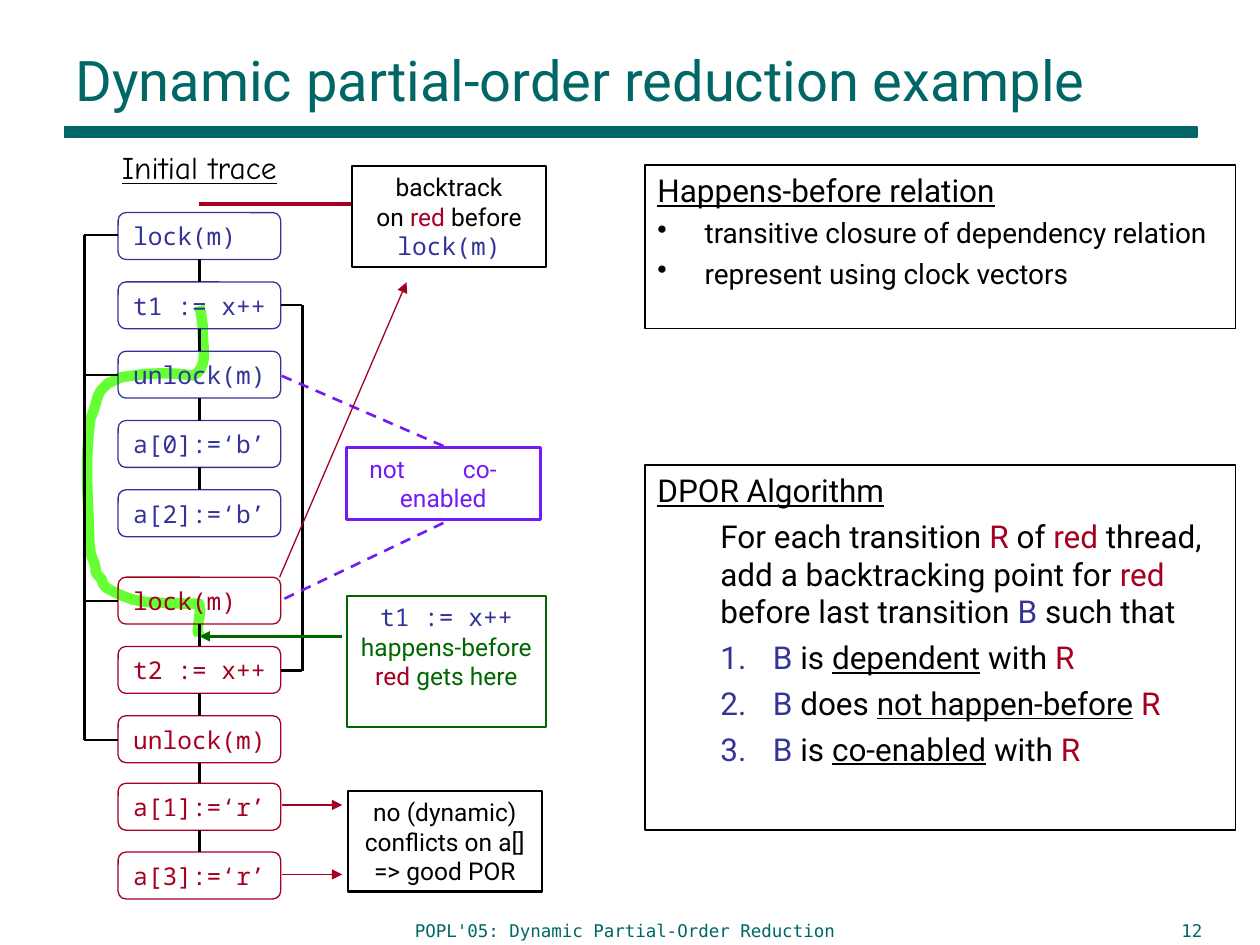
from itertools import pairwise

from pptx import Presentation
from pptx.dml.color import RGBColor
from pptx.enum.dml import MSO_LINE_DASH_STYLE as Dash
from pptx.enum.shapes import MSO_CONNECTOR as Connector, MSO_SHAPE as Shape
from pptx.enum.text import MSO_ANCHOR as Anchor, PP_ALIGN as Align
from pptx.oxml.ns import qn
from pptx.util import Pt
from lxml.etree import SubElement

TEAL = RGBColor(0x00, 0x66, 0x66)
BLUE = RGBColor(0x33, 0x33, 0x99)
RED = RGBColor(0xA5, 0x00, 0x21)
GREEN = RGBColor(0x00, 0x66, 0x00)
LIME = RGBColor(0x66, 0xFF, 0x33)
PURPLE = RGBColor(0x73, 0x1B, 0xF5)
BLACK = RGBColor(0x00, 0x00, 0x00)
WHITE = RGBColor(0xFF, 0xFF, 0xFF)

SANS, CODE, HAND, MONO = "Roboto", "Noto Sans Mono", "Comic Neue", "DejaVu Sans Mono"

STEP_LEFT, STEP_WIDTH, STEP_HEIGHT = 67.5, 92.9, 26.8
SPINE = 114
BLUE_STEPS = {"lock(m)": 121.5, "t1 := x++": 161.1, "unlock(m)": 200.7,
              "a[0]:=‘b’": 240.3, "a[2]:=‘b’": 279.9}
RED_STEPS = {"lock(m)": 329.8, "t2 := x++": 369.4, "unlock(m)": 409,
             "a[1]:=‘r’": 447.6, "a[3]:=‘r’": 486.9}

# Start point, then control, control, end for each Bézier piece
PATH_START = (113.8, 175)
PATH_CURVES = [
    ((115.2, 178.6), (115.2, 182.2), (115.9, 186.5)),
    ((115.2, 196.6), (120.2, 210.2), (110.2, 214.6)),
    ((100.1, 213.1), (92.9, 213.1), (82.1, 213.8)),
    ((81.4, 213.8), (72, 215.3), (70.6, 215.3)),
    ((67, 216), (64.8, 218.2), (61.9, 218.9)),
    ((60.5, 220.3), (59, 221.8), (57.6, 223.2)),
    ((56.2, 224.6), (56.2, 226.8), (55.4, 228.2)),
    ((54.7, 231.8), (53.3, 235.4), (51.8, 239)),
    ((48.2, 262.8), (50.4, 283.7), (51.1, 309.6)),
    ((51.8, 316.8), (51.8, 316.8), (54, 321.8)),
    ((54.7, 323.3), (54.7, 325.4), (54.7, 326.9)),
    ((55.4, 328.3), (58.3, 331.2), (58.3, 331.2)),
    ((59, 336.2), (61.9, 336.2), (65.5, 338.4)),
    ((72.7, 342), (79.9, 344.2), (87.8, 344.2)),
    ((96.5, 344.9), (105.1, 344.9), (113.8, 344.9)),
    ((115.2, 349.9), (113, 355.7), (113, 360.7)),
    ((113.8, 363.6), (113.8, 362.2), (113.8, 363.6)),
]


def write(frame, paragraphs, **defaults):
    """Fill a frame with (runs, paragraph format) pairs; a run is (text, font format)."""
    frame.word_wrap = True
    for index, (runs, layout) in enumerate(paragraphs):
        paragraph = frame.add_paragraph() if index else frame.paragraphs[0]
        layout = dict(layout)
        properties = paragraph._p.get_or_add_pPr()
        for name in ("marL", "indent"):
            properties.set(name, str(Pt(layout.pop(name, 0))))
        bullet, tab = layout.pop("bullet", None), layout.pop("tab", None)
        if bullet:
            tag, attributes, color = bullet
            holder = SubElement(properties, qn("a:buClr"))
            SubElement(holder, qn("a:srgbClr"), val=str(color))
            SubElement(properties, qn(tag), attributes)
        if tab:
            tabs = SubElement(properties, qn("a:tabLst"))
            SubElement(tabs, qn("a:tab"), pos=str(Pt(tab)), algn="l")
        for name, value in {"alignment": Align.LEFT, **layout}.items():
            setattr(paragraph, name, value)
        for text, overrides in runs:
            run = paragraph.add_run()
            run.text = text
            font_format = {"name": SANS, "color": BLACK, **defaults, **overrides}
            run.font.color.rgb = font_format.pop("color")
            for name, value in font_format.items():
                setattr(run.font, name, value)


def add_box(slide, bounds, line, weight=0.75, fill=None, kind=Shape.RECTANGLE):
    shape = slide.shapes.add_shape(kind, *map(Pt, bounds))
    shape.shadow.inherit = False
    if fill is None:
        shape.fill.background()
    else:
        shape.fill.solid()
        shape.fill.fore_color.rgb = fill
    shape.line.color.rgb = line
    shape.line.width = Pt(weight)
    shape.text_frame.vertical_anchor = Anchor.TOP
    return shape


def add_line(slide, start, end, color=BLACK, weight=1.5, arrow=False, dash=None):
    line = slide.shapes.add_connector(Connector.STRAIGHT, *map(Pt, (*start, *end)))
    line.line.color.rgb = color
    line.line.width = Pt(weight)
    if dash:
        line.line.dash_style = dash
    if arrow:
        SubElement(line.line._get_or_add_ln(), qn("a:tailEnd"), type="triangle")
    SubElement(line._element.spPr, qn("a:effectLst"))


def add_label(slide, bounds, text, alignment=Align.LEFT, **font):
    box = slide.shapes.add_textbox(*map(Pt, bounds))
    write(box.text_frame, [([(text, font)], {"alignment": alignment})])


def add_note(slide, bounds, line, paragraphs):
    note = add_box(slide, bounds, line, 1.5, WHITE)
    centred = [(runs, {"alignment": Align.CENTER}) for runs in paragraphs]
    write(note.text_frame, centred, size=Pt(14))


def add_trace(slide, steps, color, see_through):
    """Stack one thread's steps and link each to the next."""
    for text, top in steps.items():
        step = add_box(slide, (STEP_LEFT, top, STEP_WIDTH, STEP_HEIGHT), color,
                       fill=None if text in see_through else WHITE,
                       kind=Shape.ROUNDED_RECTANGLE)
        step.text_frame.vertical_anchor = Anchor.MIDDLE
        step.text_frame.margin_left = Pt(7.3)
        step.text_frame.margin_right = 0
        write(step.text_frame, [([(text, {})], {})], name=CODE, size=Pt(14), color=color)
    for upper, lower in pairwise(steps.values()):
        add_line(slide, (SPINE, upper + STEP_HEIGHT), (SPINE, lower))


def add_highlight(slide):
    """Draw the happens-before path, turning every three segments into a Bézier piece."""
    builder = slide.shapes.build_freeform(*map(Pt, PATH_START))
    builder.add_line_segments(
        [(Pt(x), Pt(y)) for curve in PATH_CURVES for x, y in curve], close=False)
    shape = builder.convert_to_shape()
    segments = list(shape._element.iter(qn("a:lnTo")))
    outline = segments[0].getparent()
    for first in range(0, len(segments), 3):
        curve = SubElement(outline, qn("a:cubicBezTo"))
        for segment in segments[first:first + 3]:
            curve.append(segment[0])
            outline.remove(segment)
    shape.shadow.inherit = False
    shape.fill.background()
    shape.line.color.rgb = LIME
    shape.line.width = Pt(6)


def add_title(slide):
    title = slide.shapes.title
    title.left, title.top, title.width, title.height = map(Pt, (36, 9.4, 684, 72))
    title.text_frame.vertical_anchor = Anchor.MIDDLE
    write(title.text_frame, [([("Dynamic partial-order reduction example", {})], {})],
          size=Pt(32), color=TEAL)


def add_notes(slide):
    red, blue_code = {"color": RED}, {"name": CODE, "color": BLUE}
    not_enabled = add_box(slide, (198, 255.6, 110.9, 41.4), PURPLE, 1.5, WHITE)
    write(not_enabled.text_frame, [([("not\tco-enabled", {})],
          {"marL": 23.5, "indent": -17.5, "tab": 83.5})], size=Pt(14), color=PURPLE)
    for start, end in (((253.4, 254.9), (160.6, 214.6)), ((253.4, 298.8), (159.8, 343.4))):
        add_line(slide, start, end, PURPLE, dash=Dash.DASH)
    add_note(slide, (198.2, 340.6, 113.8, 74.9), GREEN, [
        [("t1 := x++", blue_code)], [("happens-before", {"color": GREEN})],
        [("red ", red), ("gets here", {"color": GREEN})]])
    add_line(slide, (195.3, 363.6), (SPINE, 363.6), GREEN, arrow=True)
    add_line(slide, (SPINE, 116.6), (221, 116.6), RED, 2.25)
    add_note(slide, (201.2, 95, 110.9, 57.6), BLACK, [
        [("backtrack", {})], [("on", {}), (" red ", red), ("before", {})],
        [("lock(m)", blue_code)]])
    add_note(slide, (198.8, 452, 110.9, 57.6), BLACK, [
        [("no (dynamic) conflicts on a[]", {})], [("=> good POR", {})]])
    for start, end in (((159.8, 329.8), (232.3, 161.3)),
                       ((161.3, 460), (195.6, 460)), ((161.3, 499.7), (195.6, 499.7))):
        add_line(slide, start, end, RED, 0.75, arrow=True)


def add_dependencies(slide):
    for rail, edge, rows in ((48.2, STEP_LEFT, (134.3, 214.4, 343.4, 422.9)),
                             (172.8, 160.6, (174.4, 383.2))):
        add_line(slide, (rail, rows[0]), (rail, rows[-1]))
        for row in rows:
            add_line(slide, (edge, row), (rail, row))


def add_panels(slide):
    red, blue, under = {"color": RED}, {"color": BLUE}, {"underline": True}
    gap = {"space_before": Pt(4.5)}
    dot = {"marL": 27, "indent": -27, "space_before": Pt(4),
           "bullet": ("a:buChar", {"char": "•"}, BLACK)}
    number = {"marL": 66, "indent": -30, **gap,
              "bullet": ("a:buAutoNum", {"type": "arabicPeriod"}, BLUE)}
    small = {"size": Pt(16)}
    relation = add_box(slide, (368.6, 94.3, 337.5, 93.6), BLACK)
    write(relation.text_frame, [
        ([("Happens-before relation", under)], {}),
        ([("transitive closure of dependency relation", small)], dot),
        ([("represent using clock vectors", small)], dot)], size=Pt(18))
    conditions = [(" is ", "dependent", " with "), (" does ", "not happen-before", " "),
                  (" is ", "co-enabled", " with ")]
    algorithm = add_box(slide, (368.6, 265.7, 337.5, 208.6), BLACK)
    write(algorithm.text_frame, [
        ([("DPOR Algorithm", under)], {}),
        ([("For each transition ", {}), ("R ", red), ("of", {}), (" red ", red),
          ("thread, add a backtracking point for ", {}), ("red", red),
          (" before last transition ", {}), ("B", blue), (" such that", {})],
         {"marL": 36, **gap}),
        *(([("B", blue), (verb, {}), (condition, under), (link, {}), ("R", red)], number)
          for verb, condition, link in conditions)], size=Pt(18))


def main():
    presentation = Presentation()
    presentation.slide_width, presentation.slide_height = Pt(720), Pt(540)
    slide = presentation.slides.add_slide(presentation.slide_layouts[5])
    add_title(slide)
    add_box(slide, (36.7, 72.5, 647.3, 5.8), TEAL, fill=TEAL)
    add_highlight(slide)
    add_label(slide, (62.6, 81, 110, 31), "Initial trace",
              name=HAND, size=Pt(18), underline=True)
    add_trace(slide, BLUE_STEPS, BLUE, ("t1 := x++", "unlock(m)"))
    add_trace(slide, RED_STEPS, RED, ("lock(m)",))
    add_dependencies(slide)
    add_notes(slide)
    add_panels(slide)
    footer = {"name": MONO, "size": Pt(10), "color": TEAL}
    add_label(slide, (0, 522, 714, 18), "POPL'05: Dynamic Partial-Order Reduction",
              Align.CENTER, **footer)
    add_label(slide, (526.3, 522, 167.8, 18), "12", Align.RIGHT, **footer)
    presentation.save("out.pptx")


if __name__ == "__main__":
    main()
